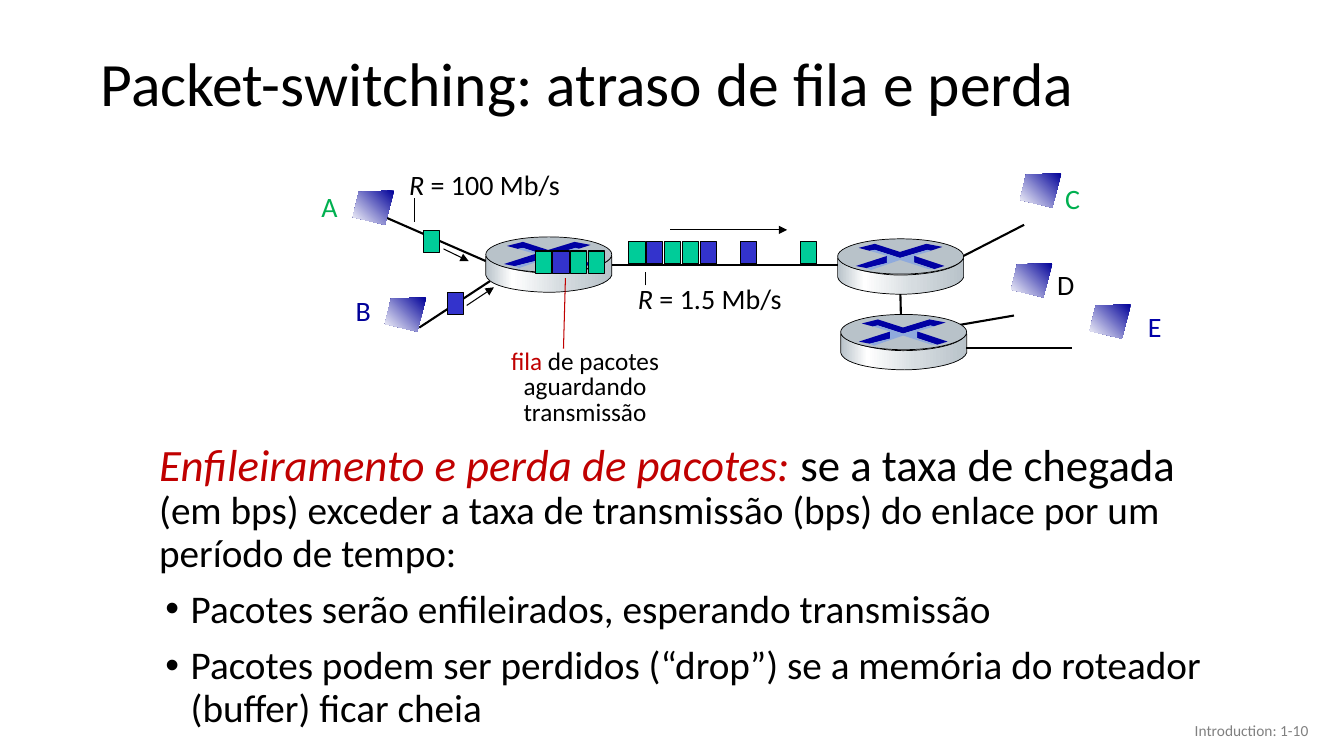
from lxml import etree
from pptx import Presentation
from pptx.dml.color import RGBColor
from pptx.enum.shapes import MSO_CONNECTOR, MSO_SHAPE
from pptx.enum.text import MSO_ANCHOR, PP_ALIGN
from pptx.oxml.ns import qn
from pptx.util import Pt

STRAIGHT, RECT, OVAL = MSO_CONNECTOR.STRAIGHT, MSO_SHAPE.RECTANGLE, MSO_SHAPE.OVAL
TOP, MIDDLE = MSO_ANCHOR.TOP, MSO_ANCHOR.MIDDLE
LEFT, CENTER, RIGHT = PP_ALIGN.LEFT, PP_ALIGN.CENTER, PP_ALIGN.RIGHT
BLACK, RED, GREEN, NAVY = "000000", "C00000", "00B050", "000099"
PACKET = {"G": "00CC99", "B": "3333CC"}

# Content: a run is (text, size, colour, italic)
TITLE = [[("Packet-switching: atraso de fila e perda", 44, BLACK, False)]]
FOOTER = [[("Introduction: 1-10", 11, "808080", False)]]
LEAD = [("Enfileiramento e perda de pacotes: ", 32, RED, True),
        ("se a taxa de chegada ", 32, BLACK, False),
        ("(em bps) exceder a taxa de transmissão (bps) do enlace "
         "por um período de tempo:", 28, BLACK, False)]
EFFECTS = ["Pacotes serão enfileirados, esperando transmissão",
           "Pacotes podem ser perdidos (“drop”) se a memória do roteador "
           "(buffer) ficar cheia"]
QUEUE_NOTE = [[("fila", 18, RED, False), (" de pacotes", 18, BLACK, False)],
              [("aguardando transmissão", 18, BLACK, False)]]
RATES = [(" = 100 Mb/s", 285.1, 115.9, 123.1), (" = 1.5 Mb/s", 448.6, 197.3, 118.1)]

# Host letter, colour, label position, label width, host position
HOSTS = [("A", GREEN, (222.5, 131.8), 25.9, (252, 136.1)),
         ("B", NAVY, (247, 205.9), 25.2, (275, 212.4)),
         ("C", GREEN, (753.8, 126), 25.2, (728.6, 123.8)),
         ("D", BLACK, (748.1, 187.2), 31.7, (722.2, 187.9)),
         ("E", "0000A8", (812.9, 217.4), 24.5, (778.3, 217.4))]
ROUTERS = [(598.3, 170.6), (600.5, 224.6), (347, 169.2)]

# Runs of packets: colours, left, top
PACKETS = [("GBGGB", 449.3, 172.8), ("B", 529.2, 172.8), ("G", 571.7, 172.8),
           ("GBGG", 382.3, 179.3), ("G", 302.4, 164.9), ("B", 319.7, 208.8)]
PACKET_W, PACKET_H, PACKET_PITCH = 11.5, 15.8, 12.7

LINKS = [((269.3, 152.6), (347, 186.5)), ((299.5, 234), (356.4, 196.6)),
         ((433.4, 189.4), (613.4, 189.4)), ((643.7, 232.6), (643, 203.8)),
         ((684, 185), (731.5, 160.6)), ((687.6, 248.4), (765.4, 248.4)),
         ((724.3, 225.4), (649.4, 238.3))]
FLOWS = [((478.8, 164.2), (562.3, 164.2)), ((316.8, 177.8), (334.8, 186.5)),
         ((333.4, 218.2), (352.8, 205.2))]
POINTERS = [((402.5, 249.1), (403.9, 198.7), RED), ((295.9, 158.4), (295.9, 141.1), BLACK),
            ((460.8, 203.8), (460.8, 194.4), BLACK)]

# Outlines in points from the part's own corner; a six-number step is a curve
SCREEN = [(29.5, 0), (4.3, 1), (0, 19), (23, 24.5)]
SCREEN_FADE = [(0, NAVY), (100, "FFFFFF")]
ROUTER_W, ROUTER_H = 90, 25.2
ROUTER_SIDE = [(90, 13.7), (90, 27.4), (87.1, 36, 60.5, 39.6, 45.4, 39.6),
               (30.2, 39.6, 2.2, 36.7, 0, 27.4), (0, 13.7),
               (4.3, 21.6, 29.5, 25.9, 44.6, 25.9), (59.8, 25.9, 85.7, 23, 90, 13.7)]
SIDE_FADE = [(0, "B8C2C9"), (21, "FFFFFF"), (60, "D6DCE0"), (100, "B8C2C9")]
ROUTER_MARKS = [
    ("0000A3", [(63.4, 3.6), (74.9, 5.8), (66.2, 8.6), (64.1, 7.9), (44.6, 13.7),
                (26.6, 7.9), (23, 8.6), (15.1, 6.5), (26.6, 3.6), (44.6, 9.4)]),
    ("0000A3", [(54.7, 12.2), (76.3, 19.4), (69.1, 21.6), (54, 16.6)]),
    ("0000A8", [(35.3, 12.2), (35.3, 17.3), (20.9, 20.9), (13, 19.4)]),
    ("8FAADC", [(23, 8.6), (26.6, 7.9), (44.6, 13.7), (64.1, 7.9), (67, 8.6),
                (54.7, 12.2), (54.7, 17.3), (68.4, 21.6), (64.8, 21.6), (44.6, 15.1),
                (23.8, 22.3), (20.9, 20.9), (35.3, 17.3), (35.3, 12.2)])]

prs = Presentation()
prs.slide_width, prs.slide_height = Pt(960), Pt(540)
slide = prs.slides.add_slide(prs.slide_layouts[6])
shapes = slide.shapes


def rgb(colour):
    return RGBColor.from_string(colour)


def add_text(box, paragraphs, align=LEFT, anchor=TOP, wrap=True, spacing=1.0,
             gap=0, bullets_from=None):
    frame = shapes.add_textbox(*map(Pt, box)).text_frame
    frame.word_wrap, frame.vertical_anchor = wrap, anchor
    for i, runs in enumerate(paragraphs):
        para = frame.add_paragraph() if i else frame.paragraphs[0]
        layout = {"alignment": align, "line_spacing": spacing,
                  "space_before": Pt(gap if i else 0)}
        for key, value in layout.items():
            setattr(para, key, value)
        if bullets_from is not None and i >= bullets_from:
            props = para._p.get_or_add_pPr()
            props.set("marL", str(Pt(22.5)))
            props.set("indent", str(Pt(-18)))
            etree.SubElement(props, qn("a:buFont"), typeface="Arial")
            etree.SubElement(props, qn("a:buChar"), char="•")
        for text, size, colour, italic in runs:
            run = para.add_run()
            run.text = text
            for key, value in {"name": "Calibri", "size": Pt(size), "italic": italic}.items():
                setattr(run.font, key, value)
            run.font.color.rgb = rgb(colour)


def add_line(start, end, colour=BLACK, width=0.75, arrow=False):
    line = shapes.add_connector(STRAIGHT, *map(Pt, start + end))
    line.line.color.rgb, line.line.width = rgb(colour), Pt(width)
    props = line.element.spPr
    if arrow:
        etree.SubElement(props.find(qn("a:ln")), qn("a:tailEnd"), type="triangle")
    etree.SubElement(props, qn("a:effectLst"))


def paint(shape, fill, outline=None, angle=0):
    """Fill with a hex colour, or with a list of gradient stops."""
    shape.shadow.inherit = False
    if outline:
        shape.line.color.rgb, shape.line.width = rgb(BLACK), Pt(outline)
    else:
        shape.line.fill.background()
    if isinstance(fill, str):
        shape.fill.solid()
        shape.fill.fore_color.rgb = rgb(fill)
        return
    shape.fill.gradient()
    gradient = shape.element.spPr.find(qn("a:gradFill"))
    for child in list(gradient):
        gradient.remove(child)
    stops = etree.SubElement(gradient, qn("a:gsLst"))
    for position, colour in fill:
        stop = etree.SubElement(stops, qn("a:gs"), pos=str(position * 1000))
        etree.SubElement(stop, qn("a:srgbClr"), val=colour)
    etree.SubElement(gradient, qn("a:lin"), ang=str(angle * 60000), scaled="0")


def add_outline(origin, steps, steps_per_curve=12):
    points = []
    for step in steps:
        if len(step) == 2:
            points.append(step)
            continue
        p0, p1, p2, p3 = points[-1], step[:2], step[2:4], step[4:]
        for n in range(1, steps_per_curve + 1):
            t = n / steps_per_curve
            u = 1 - t
            points.append(tuple(u**3 * a + 3 * u * u * t * b + 3 * u * t * t * c + t**3 * d
                                for a, b, c, d in zip(p0, p1, p2, p3)))
    corners = [(Pt(origin[0] + x), Pt(origin[1] + y)) for x, y in points]
    builder = shapes.build_freeform(*corners[0], scale=1.0)
    builder.add_line_segments(corners[1:], close=True)
    return builder.convert_to_shape()


# Title, explanation and footer
add_text((64.8, 26.6, 828, 70.6), TITLE, anchor=MIDDLE, spacing=0.9)
add_text((106.6, 312.5, 761, 218.2),
         [LEAD] + [[(effect, 28, BLACK, False)] for effect in EFFECTS],
         spacing=0.9, gap=10, bullets_from=1)
add_text((725.8, 507.6, 216, 28.8), FOOTER, align=RIGHT, anchor=MIDDLE)

# Links, hosts and labels
for start, end in LINKS:
    add_line(start, end, width=1.5)
for letter, colour, (x, y), width, corner in HOSTS:
    paint(add_outline(corner, SCREEN), SCREEN_FADE, angle=135)
    add_text((x, y, width, 31.7), [[(letter, 20, colour, False)]], wrap=False)
for rate, x, y, width in RATES:
    add_text((x, y, width, 31.7), [[("R", 20, BLACK, True), (rate, 20, BLACK, False)]],
             wrap=False)
add_text((325.4, 246.2, 185, 63.4), QUEUE_NOTE, align=CENTER, spacing=0.85)

# Routers
for corner in ROUTERS:
    paint(add_outline(corner, ROUTER_SIDE), SIDE_FADE, outline=0.5)
    paint(shapes.add_shape(OVAL, *map(Pt, corner + (ROUTER_W, ROUTER_H))),
          "B8C2C9", outline=0.5)
    for colour, mark in ROUTER_MARKS:
        paint(add_outline(corner, mark), colour)

# Packets, flow arrows and pointers
for colours, left, top in PACKETS:
    for i, key in enumerate(colours):
        packet = shapes.add_shape(RECT, Pt(left + i * PACKET_PITCH), Pt(top),
                                  Pt(PACKET_W), Pt(PACKET_H))
        paint(packet, PACKET[key], outline=0.75)
for start, end in FLOWS:
    add_line(start, end, arrow=True)
for start, end, colour in POINTERS:
    add_line(start, end, colour)

prs.save("out.pptx")
